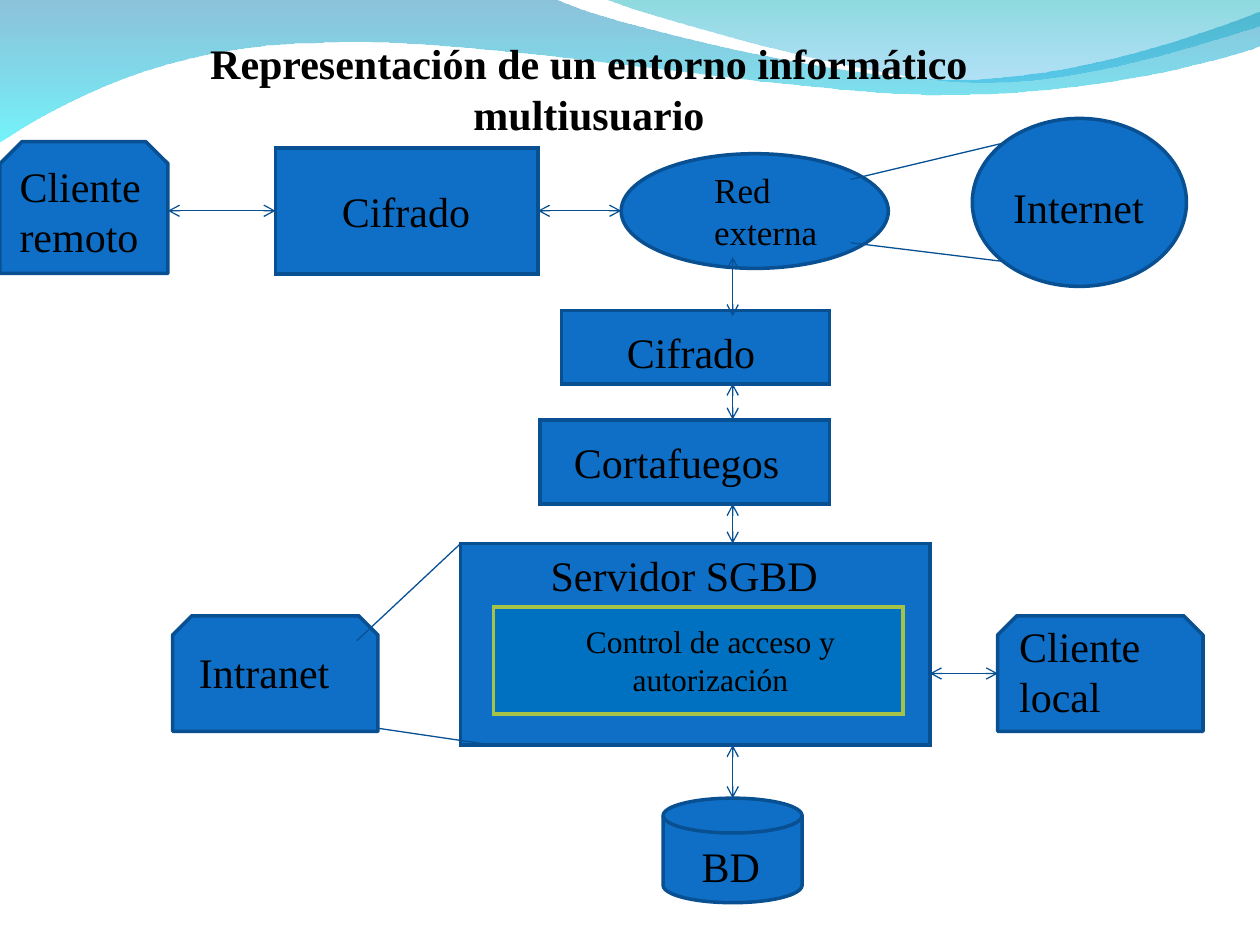
from lxml.etree import SubElement
from pptx import Presentation
from pptx.dml.color import RGBColor
from pptx.enum.shapes import MSO_CONNECTOR, MSO_SHAPE
from pptx.enum.text import MSO_ANCHOR, MSO_AUTO_SIZE, PP_ALIGN
from pptx.oxml import parse_xml
from pptx.oxml.ns import nsdecls, qn
from pptx.util import Emu, Inches, Pt

# The slide is a grid of 100 columns by 75 rows
COLUMNS, ROWS = 100, 75
CELL = Inches(0.1)
FONT = "Times New Roman"
BLUE, NAVY, LINE_BLUE = "0F6FC6", "085091", "065093"
AXIS = 58.15  # column of the vertical arrows
TOP_ROW = 16.73  # row of the arrows between the upper boxes

# Waves: a start, then straight (one point) and curved (three points) steps
LEFT_WAVE = [
    [(0, -0.1)], [(44, -0.1)],
    [(47.6, 1.7), (66.4, 6.3), (75.8, 6.3)],
    [(85.3, 6.3), (95.8, 2.6), (100, 0.9)], [(100.1, 3.6)],
    [(98.3, 4.4), (87, 7.6), (74.6, 7.5)],
    [(62.2, 7.5), (38.2, 2.8), (25.7, 3.4)],
    [(12.9, 3.5), (4.6, 8.3), (-0.1, 11.3)], [(0, -0.1)],
]
RIGHT_WAVE = [
    [(47.9, -0.1)],
    [(50.9, 1.1), (68.2, 6.2), (76.9, 6.5)],
    [(85.6, 6.9), (96.1, 3.2), (100, 2.1)], [(100, 0)], [(47.9, -0.1)],
]

SNIPPED = MSO_SHAPE.SNIP_2_SAME_RECTANGLE
NODES = [
    (SNIPPED, 0, 11.25, 13.33, 10.45),
    (MSO_SHAPE.RECTANGLE, 21.87, 11.74, 20.83, 10),
    (MSO_SHAPE.OVAL, 49.3, 12.2, 21.2, 9.1),
    (MSO_SHAPE.OVAL, 77.17, 9.4, 17, 13.33),
    (MSO_SHAPE.RECTANGLE, 44.57, 24.64, 21.25, 5.83),
    (MSO_SHAPE.RECTANGLE, 42.87, 33.33, 22.95, 6.67),
    (MSO_SHAPE.RECTANGLE, 36.56, 43.14, 37.24, 16),
    (MSO_SHAPE.FLOWCHART_MAGNETIC_DISK, 52.63, 63.35, 11.03, 8.3),
    (SNIPPED, 13.7, 48.87, 16.3, 9.17),
    (SNIPPED, 79.18, 48.87, 16.3, 9.17),
]
LABELS = [
    ("Cliente remoto", 0.57, 12.24, 18.3, 9),
    ("Cifrado", 26.14, 14.2, 20.8, 5),
    ("Internet", 79.43, 13.9, 14.9, 5),
    ("Cifrado", 48.77, 25.4, 18.8, 5),
    ("Cortafuegos", 44.57, 34.14, 24.7, 5),
    ("Servidor SGBD", 42.72, 43.14, 34.4, 5),
    ("Intranet", 14.8, 50.8, 17.5, 5),
    ("Cliente local", 79.9, 48.74, 15.8, 9),
    ("BD", 54.7, 66.2, 8.9, 5),
]
ARROWS = [
    (13.33, TOP_ROW, 21.87, TOP_ROW),
    (42.7, TOP_ROW, 49.3, TOP_ROW),
    (AXIS, 20.4, AXIS, 25.1),
    (AXIS, 30.45, AXIS, 33.3),
    (AXIS, 40, AXIS, 43.14),
    (AXIS, 59.14, AXIS, 63.35),
    (73.8, 53.45, 79.2, 53.45),
]
PLAIN_LINES = [
    (67.53, 14.24, 79.7, 11.34),
    (67.53, 19.27, 79.7, 20.76),
    (28.33, 50.85, 36.56, 43.14),
    (30, 57.8, 39.1, 59.14),
]


def color(value):
    return RGBColor.from_string(value)


def cells(*values):
    return [Emu(round(value * CELL)) for value in values]


def bend_steps(shape, steps):
    """Turn each three-point step of a freeform into one cubic curve."""
    pieces = iter(list(shape.element.iter(qn("a:lnTo"))))
    for step in steps:
        first = next(pieces)
        if len(step) == 3:
            first.tag = qn("a:cubicBezTo")
            for piece in (next(pieces), next(pieces)):
                first.append(piece[0])
                piece.getparent().remove(piece)


def curve_xml(shape):
    """Reload the outline so that its renamed steps are read as curves."""
    return shape.element.spPr.find(qn("a:custGeom"))


def add_wave(page, steps, stops):
    points = [point for step in steps for point in step]
    builder = page.shapes.build_freeform(*cells(*points[0]))
    builder.add_line_segments([cells(*point) for point in points[1:]], close=True)
    wave = builder.convert_to_shape()
    bend_steps(wave, steps[1:])
    wave.shadow.inherit = False
    wave.line.fill.background()
    # Vertical gradient with see-through stops
    stop_xml = "".join(
        f'<a:gs pos="{place * 1000}"><a:srgbClr val="{value}">'
        f'<a:alpha val="{opacity * 1000}"/></a:srgbClr></a:gs>'
        for place, value, opacity in stops)
    gradient = parse_xml(
        f'<a:gradFill {nsdecls("a")} rotWithShape="1"><a:gsLst>{stop_xml}</a:gsLst>'
        '<a:lin ang="5400000" scaled="0"/></a:gradFill>')
    curve_xml(wave).addnext(gradient)


def add_node(page, kind, *place, fill=BLUE, line=NAVY):
    node = page.shapes.add_shape(kind, *cells(*place))
    node.shadow.inherit = False
    node.fill.solid()
    node.fill.fore_color.rgb = color(fill)
    node.line.color.rgb = color(line)
    node.line.width = Pt(2)
    if kind == MSO_SHAPE.RECTANGLE:  # sharp corners
        SubElement(node.line._get_or_add_ln(), qn("a:miter"), lim="800000")


def write_text(box, text, size=24, bold=False, align=PP_ALIGN.LEFT):
    frame = box.text_frame
    frame.word_wrap = True
    frame.auto_size = MSO_AUTO_SIZE.NONE
    frame.vertical_anchor = MSO_ANCHOR.TOP
    frame.margin_left = frame.margin_right = CELL
    frame.margin_top = frame.margin_bottom = CELL // 2
    para = frame.paragraphs[0]
    para.alignment = align
    span = para.add_run()
    span.text = text
    span.font.name = FONT
    span.font.size = Pt(size)
    span.font.bold = bold
    span.font.color.rgb = color("000000")


def add_label(page, text, *place, **style):
    write_text(page.shapes.add_textbox(*cells(*place)), text, **style)


def add_line(page, *ends, arrows=False):
    line = page.shapes.add_connector(MSO_CONNECTOR.STRAIGHT, *cells(*ends))
    line.line.color.rgb = color(LINE_BLUE)
    line.line.width = Pt(0.75)
    if arrows:
        for end in ("a:headEnd", "a:tailEnd"):
            SubElement(line.line._get_or_add_ln(), qn(end), type="arrow")
    SubElement(line.element.spPr, qn("a:effectLst"))


def add_title(page, text, *place, **style):
    title = page.shapes.title
    title.left, title.top, title.width, title.height = cells(*place)
    write_text(title, text, **style)
    title.element.getparent().append(title.element)  # in front of the waves


def main():
    deck = Presentation()
    deck.slide_width, deck.slide_height = cells(COLUMNS, ROWS)
    page = deck.slides.add_slide(deck.slide_layouts[5])

    # Background waves
    add_wave(page, LEFT_WAVE, [(0, "0079AF", 45), (100, "00EBF8", 55)])
    add_wave(page, RIGHT_WAVE, [(0, "00ADB6", 45), (100, "009BE5", 30)])

    # Diagram boxes and their labels
    for node in NODES:
        add_node(page, *node)
    for label in LABELS:
        add_label(page, *label)
    add_label(page, "Red externa", 55.7, 12.9, 15, 7.7, size=20)
    add_node(page, MSO_SHAPE.RECTANGLE, 39.17, 48.17, 32.5, 8.5,
             fill="0070C0", line="A5C249")
    add_label(page, "Control de acceso y autorización", 39.1, 48.9, 34.6, 7,
              size=18, align=PP_ALIGN.CENTER)

    # Links
    for ends in ARROWS:
        add_line(page, *ends, arrows=True)
    for ends in PLAIN_LINES:
        add_line(page, *ends)

    add_title(page, "Representación de un entorno informático multiusuario",
              6.64, 2.5, 80.2, 9, bold=True, align=PP_ALIGN.CENTER)
    deck.save("out.pptx")


if __name__ == "__main__":
    main()
